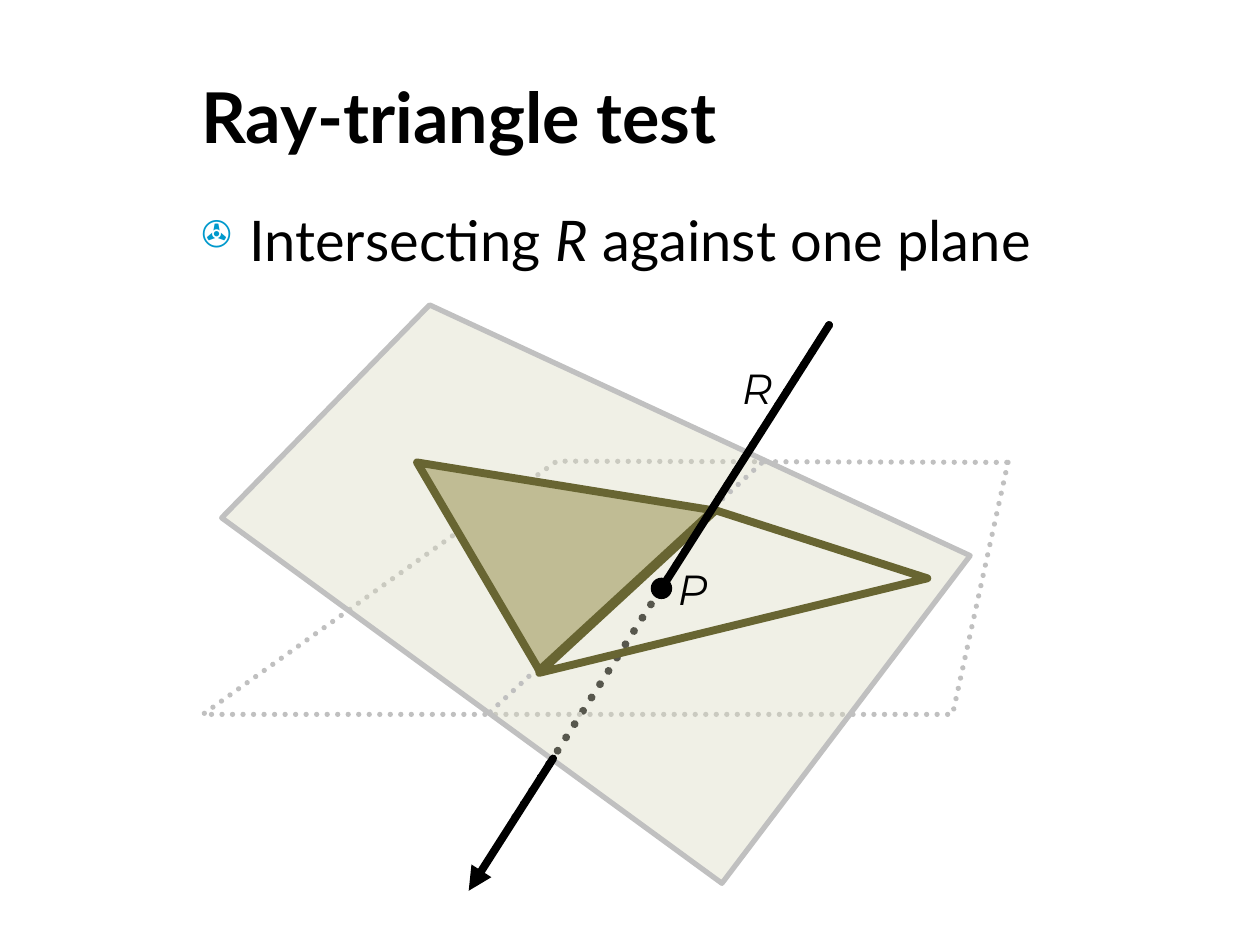
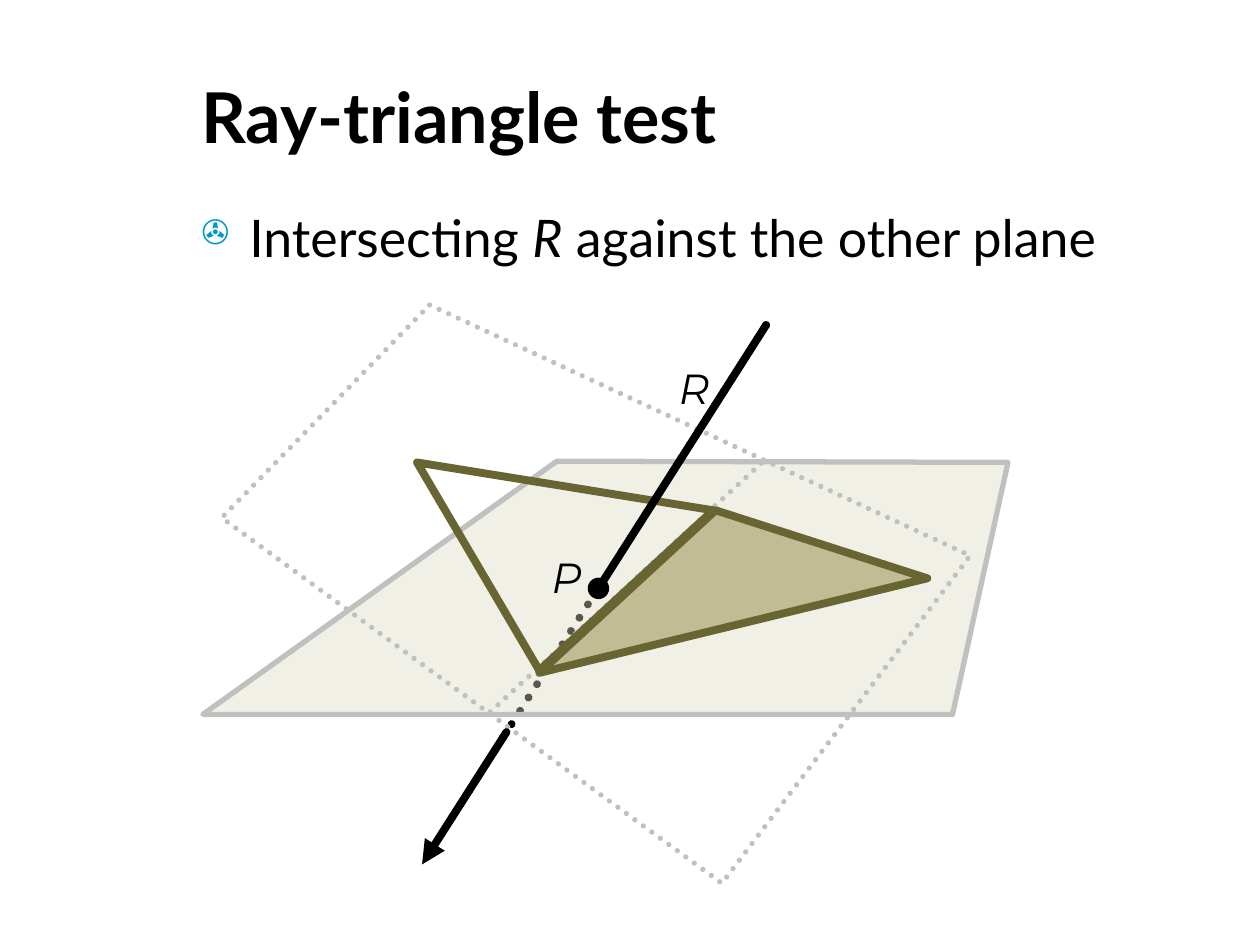
from dataclasses import dataclass
from lxml import etree
from pptx import Presentation
from pptx.dml.color import RGBColor
from pptx.enum.dml import MSO_LINE
from pptx.enum.shapes import MSO_CONNECTOR, MSO_SHAPE
from pptx.enum.text import MSO_ANCHOR, MSO_AUTO_SIZE, PP_ALIGN
from pptx.oxml.ns import qn
from pptx.util import Inches, Pt

COLORS = {
    "ink": "000000",
    "bullet": "0099CC",
    "plane": "DBDAC2",
    "plane_edge": "C0C0C0",
    "triangle": "C0BC94",
    "triangle_edge": "686532",
}
COLUMNS, ROWS = 10, 7.5
TITLE_BOX = (1.5, 0.42, 8.25, 1)
BULLET_BOX = (1.5, 1.58, 8.25, 0.77)
HANGING = 0.38
THIN, THICK = 3, 4.5

FLAT_PLANE = [(8, 3.67), (7.56, 5.67), (1.61, 5.67), (4.42, 3.66)]
TILTED_PLANE = [(3.41, 2.42), (7.7, 4.41), (5.73, 7.01), (1.76, 4.11)]
PLANE_CROSSING = [(3.89, 5.65), (6.05, 3.67)]
LEFT_TRIANGLE = [(4.28, 5.32), (5.66, 4.05), (3.31, 3.67)]
RIGHT_TRIANGLE = [(4.28, 5.34), (5.68, 4.05), (7.36, 4.59)]
RAY_START, RAY_HIT, RAY_HIDDEN_END = (6.58, 2.58), (5.25, 4.67), (4.08, 6.5)
RAY_TAIL = (-0.67, 1.05)
RAY_LABEL = (5.79, 2.83)
HIT_SIZE = 0.17


@dataclass
class Scene:
    bullet_size: float
    ending: str
    shift: float
    ray_exit: tuple
    hit_label: tuple
    tilted_active: bool


SCENES = [
    Scene(32, " against one plane", 0, (4.39, 6.02), (5.28, 4.42), True),
    Scene(29.6, " against the other plane", -0.5, (4.02, 5.81), (4.28, 4.33), False),
]


def color(name):
    return RGBColor.from_string(COLORS[name])


def moved(point, dx, dy=0):
    return point[0] + dx, point[1] + dy


class Painter:
    heading_font = "Lato"
    label_font = "Montserrat"

    def __init__(self, deck):
        self.deck = deck
        self.column = deck.slide_width / COLUMNS
        self.row = deck.slide_height / ROWS
        self.page = None

    def at(self, *lengths):
        units = (self.column, self.row)
        return [round(length * units[index % 2]) for index, length in enumerate(lengths)]

    def new_page(self):
        self.page = self.deck.slides.add_slide(self.deck.slide_layouts[5])

    def style_span(self, span, size, font, bold=False, italic=False):
        span.font.size = Pt(size)
        span.font.name = font
        span.font.bold = bold
        span.font.italic = italic
        span.font.color.rgb = color("ink")

    def title(self, text):
        box = self.page.shapes.title
        box.left, box.top, box.width, box.height = self.at(*TITLE_BOX)
        frame = box.text_frame
        frame.text = text
        frame.auto_size = MSO_AUTO_SIZE.NONE
        frame.vertical_anchor = MSO_ANCHOR.MIDDLE
        para = frame.paragraphs[0]
        para.alignment = PP_ALIGN.LEFT
        self.style_span(para.runs[0], 40, self.heading_font, bold=True)

    def bullet(self, pieces, size):
        box = self.page.shapes.add_textbox(*self.at(*BULLET_BOX))
        box.text_frame.word_wrap = True
        para = box.text_frame.paragraphs[0]
        para.space_before = Pt(8)
        for text, italic in pieces:
            span = para.add_run()
            span.text = text
            self.style_span(span, size, self.heading_font, italic=italic)
        marks = para._p.get_or_add_pPr()
        indent = round(HANGING * self.column)
        marks.set("marL", str(indent))
        marks.set("indent", str(-indent))
        tint = etree.SubElement(marks, qn("a:buClr"))
        etree.SubElement(tint, qn("a:srgbClr"), val=COLORS["bullet"])
        etree.SubElement(marks, qn("a:buSzPct"), val="65000")
        etree.SubElement(marks, qn("a:buChar"), char="✇")

    def label(self, text, corner):
        box = self.page.shapes.add_textbox(*self.at(*corner, 0.39, 0.5))
        frame = box.text_frame
        frame.text = text
        frame.word_wrap = False
        frame.auto_size = MSO_AUTO_SIZE.SHAPE_TO_FIT_TEXT
        self.style_span(frame.paragraphs[0].runs[0], 24, self.label_font, italic=True)

    def stroke(self, shape, edge, width, dotted=False, arrow=False):
        shape.line.color.rgb = color(edge)
        shape.line.width = Pt(width)
        if dotted:
            shape.line.dash_style = MSO_LINE.ROUND_DOT
        outline = shape.element.spPr.find(qn("a:ln"))
        outline.set("cap", "rnd")
        etree.SubElement(outline, qn("a:round"))
        if arrow:
            etree.SubElement(outline, qn("a:tailEnd"), type="triangle")

    def line(self, start, end, edge="ink", width=THICK, dotted=False, arrow=False):
        ends = self.at(*start, *end)
        connector = self.page.shapes.add_connector(MSO_CONNECTOR.STRAIGHT, *ends)
        self.stroke(connector, edge, width, dotted, arrow)
        etree.SubElement(connector.element.spPr, qn("a:effectLst"))

    def polygon(self, points, edge, width, fill=None, opacity=100, dotted=False):
        corners = [self.at(*point) for point in points]
        builder = self.page.shapes.build_freeform(*corners[0])
        builder.add_line_segments(corners[1:], close=True)
        shape = builder.convert_to_shape()
        shape.shadow.inherit = False
        if fill:
            shape.fill.solid()
            shape.fill.fore_color.rgb = color(fill)
            tint = shape.element.spPr.find(qn("a:solidFill"))[0]
            if opacity < 100:
                etree.SubElement(tint, qn("a:alpha"), val=str(opacity * 1000))
        else:
            shape.fill.background()
        self.stroke(shape, edge, width, dotted)

    def plane(self, points, active):
        fill = "plane" if active else None
        self.polygon(points, "plane_edge", THIN, fill, 40, dotted=not active)

    def triangle(self, points, fill=None):
        self.polygon(points, "triangle_edge", THICK, fill)

    def dot(self, center):
        corner = moved(center, -HIT_SIZE / 2, -HIT_SIZE / 2)
        bounds = self.at(*corner, HIT_SIZE, HIT_SIZE)
        shape = self.page.shapes.add_shape(MSO_SHAPE.OVAL, *bounds)
        shape.shadow.inherit = False
        shape.fill.solid()
        shape.fill.fore_color.rgb = color("ink")
        shape.line.fill.background()


def draw(painter, scene):
    start, hit, hidden_end, ray_label = [
        moved(point, scene.shift)
        for point in (RAY_START, RAY_HIT, RAY_HIDDEN_END, RAY_LABEL)
    ]
    hollow, filled = RIGHT_TRIANGLE, LEFT_TRIANGLE
    if not scene.tilted_active:
        hollow, filled = filled, hollow

    painter.new_page()
    painter.line(start, hidden_end, dotted=True)
    painter.title("Ray-triangle test")
    painter.bullet(
        [("Intersecting ", False), ("R", True), (scene.ending, False)],
        scene.bullet_size,
    )
    painter.plane(FLAT_PLANE, not scene.tilted_active)
    painter.plane(TILTED_PLANE, scene.tilted_active)
    painter.line(*PLANE_CROSSING, "plane_edge", THIN, dotted=True)
    painter.triangle(hollow)
    painter.dot(hit)
    painter.label("R", ray_label)
    painter.label("P", scene.hit_label)
    painter.triangle(filled, "triangle")
    painter.line(start, hit)
    painter.line(scene.ray_exit, moved(scene.ray_exit, *RAY_TAIL), arrow=True)


def main():
    deck = Presentation()
    deck.slide_width, deck.slide_height = Inches(10), Inches(7.5)
    painter = Painter(deck)
    for scene in SCENES:
        draw(painter, scene)
    deck.save("out.pptx")


if __name__ == "__main__":
    main()
